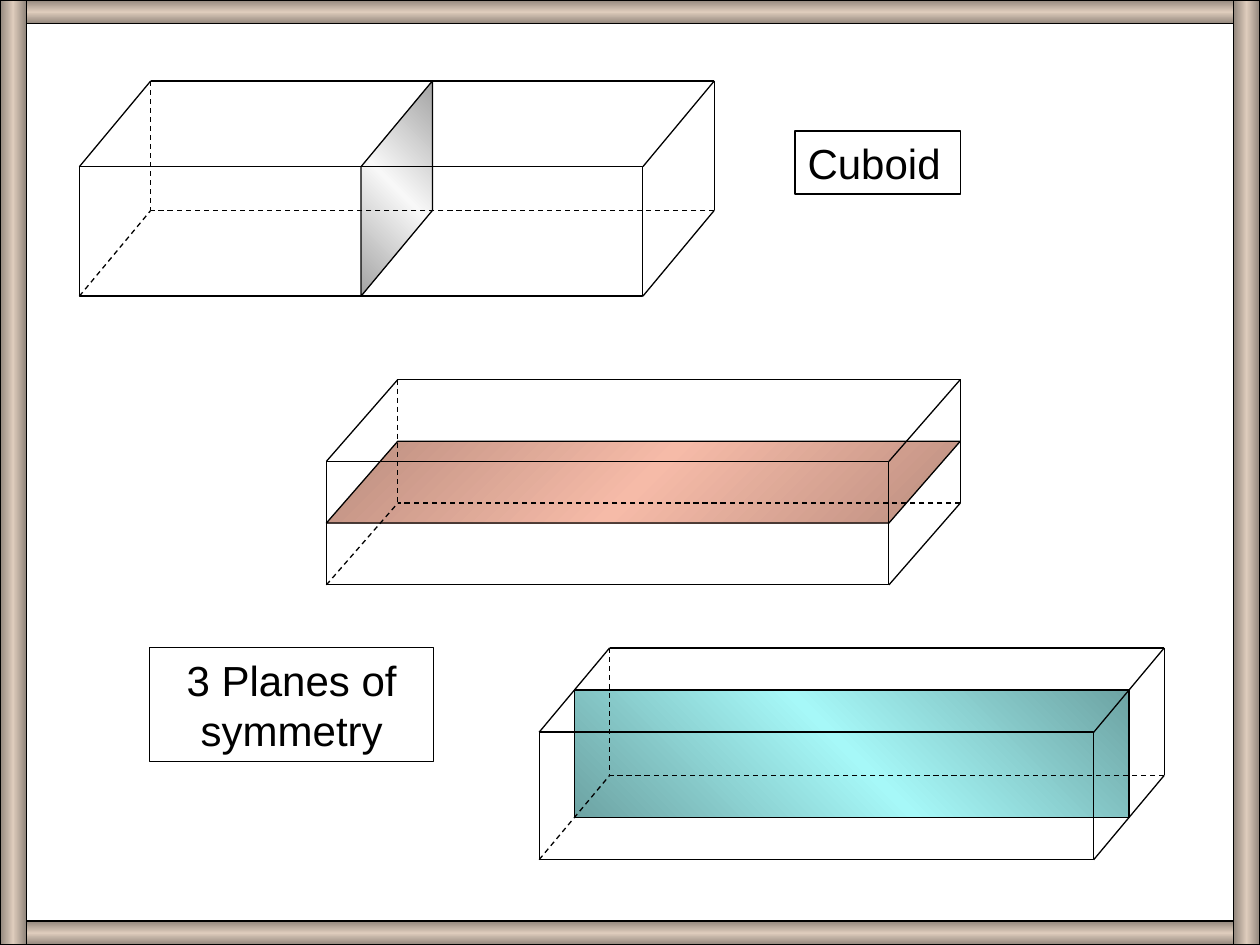
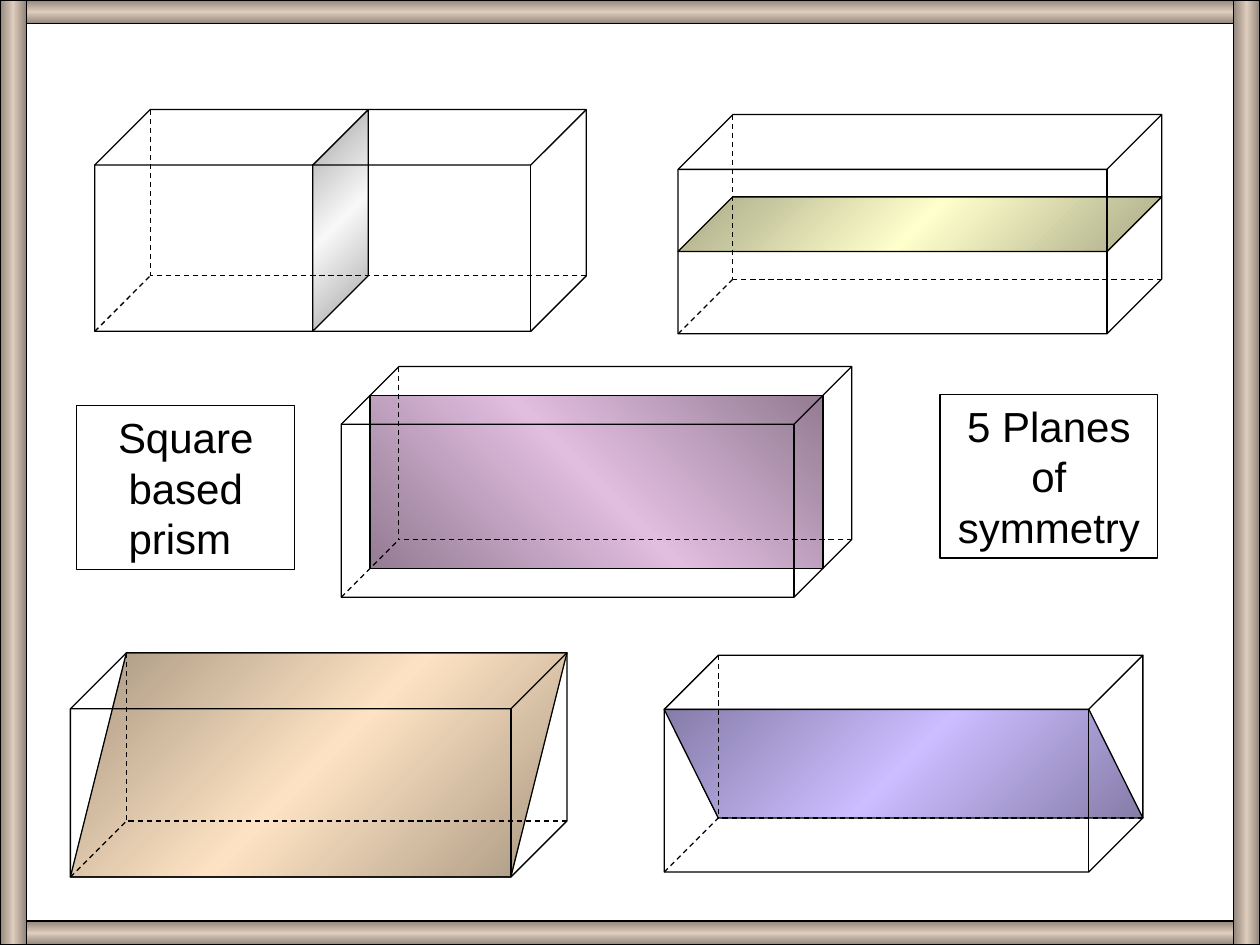
from copy import deepcopy
from dataclasses import dataclass
from itertools import product

from lxml import etree
from pptx import Presentation
from pptx.dml.color import RGBColor
from pptx.enum.dml import MSO_LINE
from pptx.enum.shapes import MSO_CONNECTOR, MSO_SHAPE
from pptx.enum.text import MSO_ANCHOR, MSO_AUTO_SIZE, PP_ALIGN
from pptx.oxml.ns import qn
from pptx.util import Cm, Pt


@dataclass(frozen=True)
class Theme:
    """Colours are hex; a gradient is its edge colour and its middle colour."""
    ink: str = "000000"
    font: str = "Arial"
    size: float = 24
    line: float = 0.75
    frame: tuple = ("92867C", "DECCBC")
    silver: tuple = ("A3A3A3", "F8F8F8")
    salmon: tuple = ("BA8D7F", "F6BBA8")
    teal: tuple = ("6DA3A3", "A6F8F8")
    yellow: tuple = ("A8A886", "FFFFCC")
    mauve: tuple = ("947C93", "E1BDE0")
    peach: tuple = ("A79580", "FDE3C3")
    violet: tuple = ("867CA8", "CBBDFF")


theme = Theme()
WIDTH, HEIGHT = 25.4, 19.05
BAR_H, BAR_W = 0.48, 0.53

# Corners are (across, down, back) in fractions of the solid's own edges.
PLANES = {
    "across": [(.5, 1, 0), (.5, 0, 0), (.5, 0, 1), (.5, 1, 1)],
    "level": [(0, .5, 0), (1, .5, 0), (1, .5, 1), (0, .5, 1)],
    "upright": [(1, 1, .5), (1, 0, .5), (0, 0, .5), (0, 1, .5)],
    "rising": [(0, 1, 0), (1, 1, 0), (1, 0, 1), (0, 0, 1)],
    "falling": [(0, 0, 0), (1, 0, 0), (1, 1, 1), (0, 1, 1)],
}
HIDDEN_EDGES = [((1, 1, 1), (0, 1, 1)), ((0, 1, 0), (0, 1, 1)),
                ((0, 0, 1), (0, 1, 1))]
VISIBLE_EDGES = [((0, 0, 0), (0, 0, 1)), ((1, 1, 0), (1, 1, 1)),
                 ((1, 0, 0), (1, 0, 1)), ((0, 0, 1), (1, 0, 1)),
                 ((1, 0, 1), (1, 1, 1))]

# Solid: left, top, width, height, depth to the right, depth upwards (cm),
# then its symmetry plane, gradient and clockwise gradient angle.
# Label: left, top, width, height (cm), text, alignment.
SLIDES = [
    ([(1.6, 1.63, 12.8, 4.34, 1.44, 1.73, "across", theme.silver, 135),
      (6.58, 7.65, 12.78, 4.14, 1.44, 1.65, "level", theme.salmon, 225),
      (10.87, 13.06, 12.6, 4.27, 1.42, 1.7, "upright", theme.teal, 135)],
     [(16.03, 2.64, 3.33, 1.27, "Cuboid", PP_ALIGN.LEFT),
      (3.02, 13.06, 5.72, 2.29, "3 Planes of symmetry", PP_ALIGN.CENTER)]),
    ([(1.91, 2.21, 9.91, 4.47, 1.12, 1.12, "across", theme.silver, 225),
      (13.67, 2.31, 9.75, 4.42, 1.1, 1.1, "level", theme.yellow, 225),
      (6.88, 7.39, 10.29, 4.65, 1.16, 1.16, "upright", theme.mauve, 135),
      (1.42, 13.16, 10.01, 4.52, 1.13, 1.13, "rising", theme.peach, 225),
      (13.39, 13.21, 9.65, 4.37, 1.09, 1.09, "falling", theme.violet, 225)],
     [(18.95, 7.95, 4.39, 3.3, "5 Planes of symmetry ", PP_ALIGN.CENTER),
      (1.55, 8.18, 4.39, 3.3, "Square based prism ", PP_ALIGN.CENTER)]),
]


def paint(sp, gradient=None, angle=0):
    """Give a shape the ink outline and either no fill or a mirrored gradient."""
    sp.shadow.inherit = False
    sp.line.color.rgb = RGBColor.from_string(theme.ink)
    sp.line.width = Pt(theme.line)
    if gradient is None:
        sp.fill.background()
        return
    sp.fill.gradient()
    sp.fill.gradient_angle = 360 - angle
    stops = sp._element.spPr.find(".//" + qn("a:gsLst"))
    stops.append(deepcopy(stops[0]))
    edge, middle = gradient
    for stop, colour, position in zip(sp.fill.gradient_stops,
                                      (edge, middle, edge), (0, 0.5, 1)):
        stop.color.rgb = RGBColor.from_string(colour)
        stop.position = position


def put_text(sp, text, *, align=PP_ALIGN.LEFT, size=theme.size,
             font=theme.font, colour=theme.ink):
    tf = sp.text_frame
    tf.word_wrap = True
    tf.auto_size = MSO_AUTO_SIZE.SHAPE_TO_FIT_TEXT
    tf.vertical_anchor = MSO_ANCHOR.TOP
    p = tf.paragraphs[0]
    p.alignment = align
    r = p.add_run()
    r.text = text
    r.font.size = Pt(size)
    r.font.name = font
    r.font.color.rgb = RGBColor.from_string(colour)


prs = Presentation()
prs.slide_width, prs.slide_height = Cm(WIDTH), Cm(HEIGHT)

for solids, labels in SLIDES:
    s = prs.slides.add_slide(prs.slide_layouts[6])

    for *box, angle in [(0, 0, WIDTH, BAR_H, 90),
                        (0, HEIGHT - BAR_H, WIDTH, BAR_H, 90),
                        (0, 0, BAR_W, HEIGHT, 180),
                        (WIDTH - BAR_W, 0, BAR_W, HEIGHT, 180)]:
        bar = s.shapes.add_shape(MSO_SHAPE.RECTANGLE, *map(Cm, box))
        paint(bar, theme.frame, angle)

    for left, top, width, height, dx, dy, plane, gradient, angle in solids:
        front_w, front_h = width - dx, height - dy
        corner = {(u, v, w): (Cm(left + u * front_w + w * dx),
                              Cm(top + dy + v * front_h - w * dy))
                  for u, v, w in product((0, .5, 1), repeat=3)}

        start, *others = [corner[c] for c in PLANES[plane]]
        outline = s.shapes.build_freeform(*start)
        outline.add_line_segments(others, close=True)
        paint(outline.convert_to_shape(), gradient, angle)

        edges = [(edge, MSO_LINE.DASH) for edge in HIDDEN_EDGES]
        if dx == dy:
            body = s.shapes.add_shape(MSO_SHAPE.CUBE, Cm(left), Cm(top),
                                      Cm(width), Cm(height))
        else:
            body = s.shapes.add_shape(MSO_SHAPE.RECTANGLE, *corner[0, 0, 0],
                                      Cm(front_w), Cm(front_h))
            edges += [(edge, MSO_LINE.SOLID) for edge in VISIBLE_EDGES]
        paint(body)

        for (a, b), dash in edges:
            line = s.shapes.add_connector(MSO_CONNECTOR.STRAIGHT,
                                          *corner[a], *corner[b])
            line.line.color.rgb = RGBColor.from_string(theme.ink)
            line.line.width = Pt(theme.line)
            line.line.dash_style = dash
            etree.SubElement(line._element.spPr, qn("a:effectLst"))

    for *box, text, align in labels:
        label = s.shapes.add_shape(MSO_SHAPE.RECTANGLE, *map(Cm, box))
        paint(label)
        put_text(label, text, align=align)

prs.save("out.pptx")
